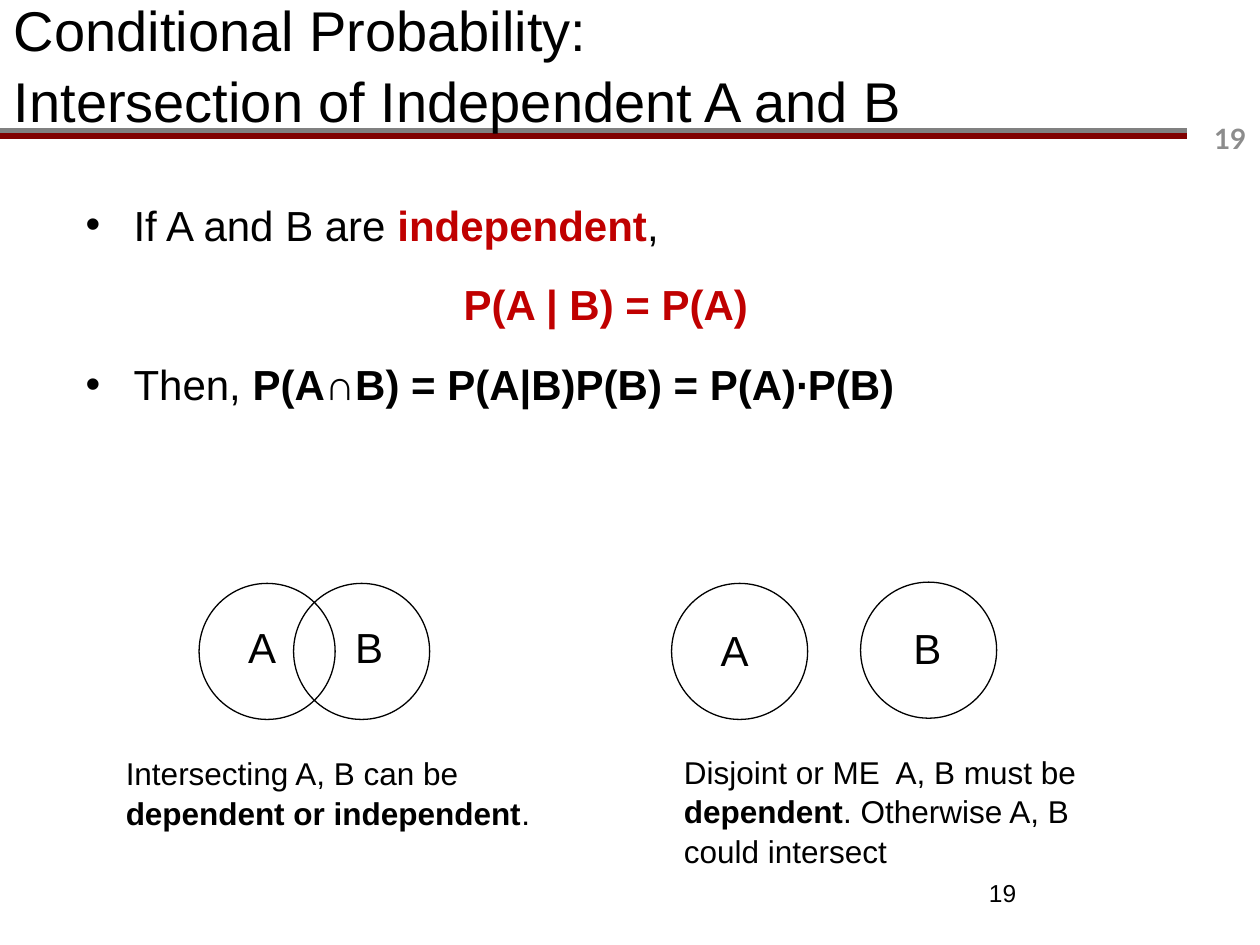
import pptx
import pptx.util
import pptx.dml.color
import pptx.enum.shapes
import pptx.enum.text
import pptx.oxml.ns
from dataclasses import dataclass
from lxml import etree

Inches, Pt = pptx.util.Inches, pptx.util.Pt
Align, Anchor = pptx.enum.text.PP_ALIGN, pptx.enum.text.MSO_ANCHOR


@dataclass(frozen=True)
class Theme:
    font: str = "Arial"
    accent: str = "Lato"
    ink: str = "000000"
    red: str = "C00000"
    gray: str = "808080"
    pale: str = "8C8C8C"
    maroon: str = "800000"
    title: int = 32
    body: int = 24
    note: int = 18
    badge: int = 16
    page: int = 14


THEME = Theme()


def color(code):
    return pptx.dml.color.RGBColor.from_string(code)


def add_run(para, text, size, bold=False, code=THEME.ink, face=THEME.font):
    run = para.add_run()
    run.text = text
    font = run.font
    font.name, font.size, font.bold = face, Pt(size), bold
    font.color.rgb = color(code)


def place(shape, left, top, width, height):
    shape.left, shape.top = Inches(left), Inches(top)
    shape.width, shape.height = Inches(width), Inches(height)


def set_bullet(para, margin, mark=None):
    """Indent a paragraph, hanging when it has a bullet mark."""
    props = para._p.get_or_add_pPr()
    props.set("marL", str(Inches(margin)))
    props.set("indent", str(-Inches(margin) if mark else 0))
    tag = pptx.oxml.ns.qn("a:buChar" if mark else "a:buNone")
    node = etree.SubElement(props, tag)
    if mark:
        node.set("char", mark)


def add_rule(slide, y, code):
    kind = pptx.enum.shapes.MSO_CONNECTOR.STRAIGHT
    rule = slide.shapes.add_connector(kind, 0, Inches(y), Inches(9.42), Inches(y))
    rule.line.color.rgb = color(code)
    rule.line.width = Pt(3)
    etree.SubElement(rule.element.spPr, pptx.oxml.ns.qn("a:effectLst"))


def add_text(slide, box, runs, size, align=Align.LEFT, space=None, **style):
    shape = slide.shapes.add_textbox(*map(Inches, box))
    frame = shape.text_frame
    frame.word_wrap = True
    para = frame.paragraphs[0]
    para.alignment = align
    para.line_spacing = space
    for text, bold in runs:
        add_run(para, text, size, bold, **style)
    return shape


def add_circle(slide, left, top):
    size = Inches(1.08)
    kind = pptx.enum.shapes.MSO_SHAPE.OVAL
    shape = slide.shapes.add_shape(kind, Inches(left), Inches(top), size, size)
    shape.shadow.inherit = False
    shape.fill.background()
    shape.line.color.rgb = color(THEME.ink)
    shape.line.width = Pt(0.75)


def add_label(slide, text, mid, top):
    box = (mid - 0.3, top, 0.6, 0.5)
    add_text(slide, box, [(text, False)], THEME.body, Align.CENTER)


def fill_title(slide):
    shape = slide.shapes.title
    place(shape, 0.01, 0, 9.91, 1)
    frame = shape.text_frame
    frame.auto_size = pptx.enum.text.MSO_AUTO_SIZE.NONE
    frame.vertical_anchor = Anchor.MIDDLE
    para = frame.paragraphs[0]
    para.alignment = Align.LEFT
    para.line_spacing = 1.05
    add_run(para, "Conditional Probability:", THEME.title)
    para.add_line_break()
    add_run(para, "Intersection of Independent A and B", THEME.title)
    # Keep the title in front of the rules
    shape.element.getparent().append(shape.element)


def fill_body(slide):
    shape = slide.placeholders[1]
    place(shape, 0.58, 1.45, 9.22, 3.86)
    frame = shape.text_frame
    frame.auto_size = pptx.enum.text.MSO_AUTO_SIZE.NONE
    ink, red = THEME.ink, THEME.red
    items = [
        (0.38, "•", [("If A and B are ", False, ink),
                     ("independent", True, red), (",", False, ink)]),
        (3, None, [("P(A | B) = P(A)", True, red)]),
        (0.38, "•", [("Then, ", False, ink),
                     ("P(A∩B) = P(A|B)P(B) = P(A)∙P(B)", True, ink)]),
    ]
    for i, (margin, mark, runs) in enumerate(items):
        para = frame.add_paragraph() if i else frame.paragraphs[0]
        set_bullet(para, margin, mark)
        para.line_spacing = 1.2
        para.space_before = Pt(5.5 if i else 0)
        para.space_after = Pt(5.5)
        for text, bold, code in runs:
            add_run(para, text, THEME.body, bold, code)


def main():
    deck = pptx.Presentation()
    deck.slide_width, deck.slide_height = Inches(10), Inches(7.5)
    slide = deck.slides.add_slide(deck.slide_layouts[1])

    # Header and page numbers
    add_rule(slide, 1.04, THEME.gray)
    add_rule(slide, 1.08, THEME.maroon)
    badge = add_text(slide, (9.17, 0.9, 0.82, 0.4), [("19", True)], THEME.badge,
                     Align.RIGHT, code=THEME.pale, face=THEME.accent)
    badge.text_frame.vertical_anchor = Anchor.MIDDLE
    add_text(slide, (7.75, 6.92, 2.08, 0.5), [("19", False)], THEME.page)
    fill_title(slide)
    fill_body(slide)

    # Venn diagrams: intersecting pair, then disjoint pair
    for left, top in [(1.58, 4.63), (2.33, 4.63), (5.33, 4.63), (6.83, 4.62)]:
        add_circle(slide, left, top)
    for text, mid, top in [("A", 2.08, 4.88), ("B", 2.93, 4.88),
                           ("A", 5.83, 4.91), ("B", 7.36, 4.89)]:
        add_label(slide, text, mid, top)

    # Captions
    add_text(slide, (0.9, 5.92, 3.5, 0.71),
             [("Intersecting A, B can be ", False),
              ("dependent or independent", True), (".", False)],
             THEME.note, space=1.05)
    add_text(slide, (5.33, 5.91, 3.75, 1.01),
             [("Disjoint or ME  A, B must be ", False), ("dependent", True),
              (". Otherwise A, B could intersect", False)],
             THEME.note, space=1.05)

    deck.save("out.pptx")


if __name__ == "__main__":
    main()
